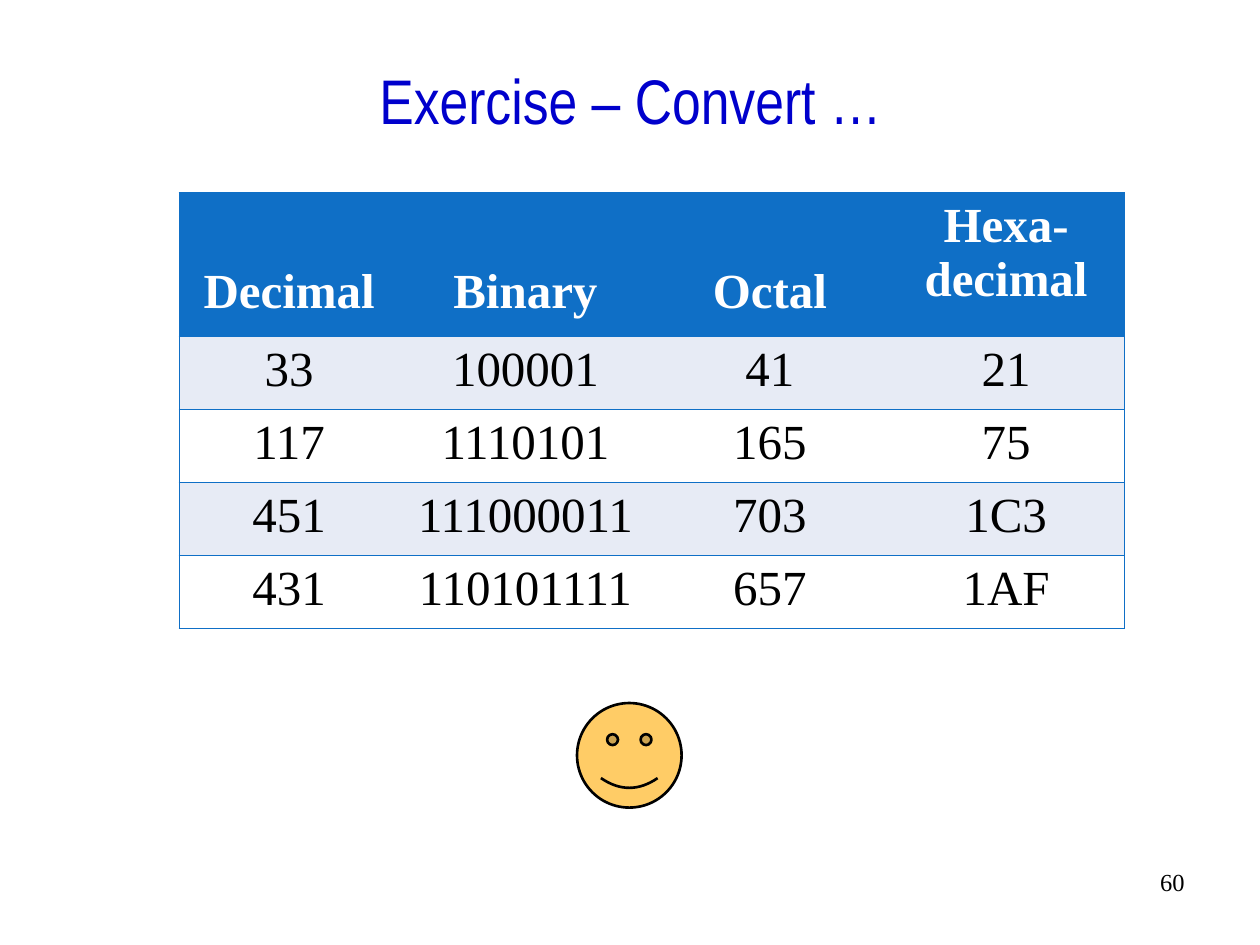
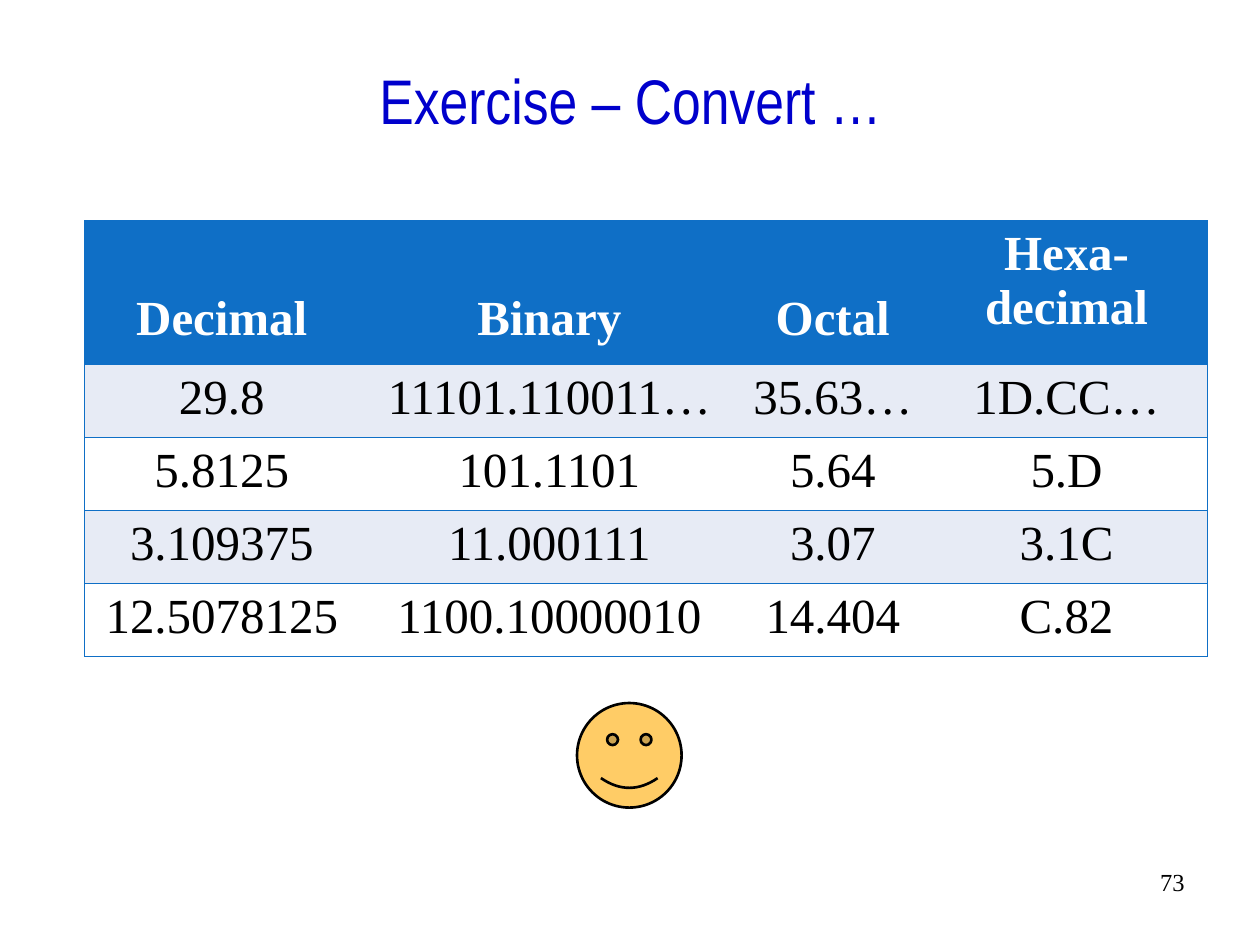
from dataclasses import dataclass

import lxml.etree
import pptx
import pptx.dml.color
import pptx.enum.shapes
import pptx.enum.text
import pptx.oxml.ns
import pptx.presentation
import pptx.shapes.autoshape
import pptx.slide
import pptx.table
import pptx.text.text
import pptx.util

RGBColor = pptx.dml.color.RGBColor
Inches = pptx.util.Inches
Pt = pptx.util.Pt
Align = pptx.enum.text.PP_ALIGN
Anchor = pptx.enum.text.MSO_ANCHOR
qn = pptx.oxml.ns.qn

# Shared look
TITLE_BLUE = RGBColor(0x00, 0x00, 0xCC)
TABLE_BLUE = RGBColor(0x0F, 0x6F, 0xC6)
BAND = RGBColor(0xE7, 0xEB, 0xF5)
WHITE = RGBColor(0xFF, 0xFF, 0xFF)
BLACK = RGBColor(0x00, 0x00, 0x00)
SMILEY_YELLOW = RGBColor(0xFF, 0xCC, 0x66)
TITLE_FONT = "Arial Narrow"
BODY_FONT = "Times New Roman"
PLAIN_TABLE_STYLE = "{2D5ABB26-0587-4C30-8999-92F81FD0307C}"

TITLE = "Exercise – Convert …"
BASES = ("Decimal", "Binary", "Octal", "Hexa-\vdecimal")
HEADER_HEIGHT = 1.14
NUMBER_HEIGHT = 0.58


@dataclass(frozen=True)
class Exercise:
    page: int
    left: float
    top: float
    widths: tuple[float, ...]
    numbers: tuple[tuple[str, ...], ...]


EXERCISES = (
    Exercise(60, 1.42, 1.53, (1.75, 2, 1.88, 1.87), (
        ("33", "100001", "41", "21"),
        ("117", "1110101", "165", "75"),
        ("451", "111000011", "703", "1C3"),
        ("431", "110101111", "657", "1AF"),
    )),
    Exercise(73, 0.67, 1.75, (2.18, 3.02, 1.48, 2.23), (
        ("29.8", "11101.110011…", "35.63…", "1D.CC…"),
        ("5.8125", "101.1101", "5.64", "5.D"),
        ("3.109375", "11.000111", "3.07", "3.1C"),
        ("12.5078125", "1100.10000010", "14.404", "C.82"),
    )),
)


def write(frame: pptx.text.text.TextFrame, text: str, size: float, color: RGBColor,
          font: str = BODY_FONT, align: Align = Align.CENTER, bold: bool = False) -> None:
    frame.word_wrap = True
    paragraph = frame.paragraphs[0]
    paragraph.text = text
    paragraph.alignment = align
    paragraph.font.name = font
    paragraph.font.size = Pt(size)
    paragraph.font.bold = bold
    paragraph.font.color.rgb = color


def add_title(slide: pptx.slide.Slide) -> None:
    title = slide.shapes.add_textbox(Inches(0.17), Inches(0.33), Inches(9.67), Inches(0.92))
    title.text_frame.vertical_anchor = Anchor.MIDDLE
    write(title.text_frame, TITLE, 36, TITLE_BLUE, font=TITLE_FONT)


def add_border(cell: pptx.table._Cell, side: str) -> None:
    border = lxml.etree.SubElement(cell._tc.get_or_add_tcPr(), qn(f"a:ln{side}"),
                                   w=str(Pt(0.45)))
    fill = lxml.etree.SubElement(border, qn("a:solidFill"))
    lxml.etree.SubElement(fill, qn("a:srgbClr"), val=str(TABLE_BLUE))


def add_conversions(slide: pptx.slide.Slide, exercise: Exercise) -> None:
    rows = (BASES, *exercise.numbers)
    heights = [HEADER_HEIGHT] + [NUMBER_HEIGHT] * len(exercise.numbers)
    conversions = slide.shapes.add_table(
        len(rows), len(BASES), Inches(exercise.left), Inches(exercise.top),
        Inches(sum(exercise.widths)), Inches(sum(heights))).table
    conversions.horz_banding = False
    conversions._tbl.tblPr.find(qn("a:tableStyleId")).text = PLAIN_TABLE_STYLE
    for column, width in zip(conversions.columns, exercise.widths):
        column.width = Inches(width)
    for row, height in zip(conversions.rows, heights):
        row.height = Inches(height)

    last = len(BASES) - 1
    for r, values in enumerate(rows):
        header = r == 0
        for c, value in enumerate(values):
            cell = conversions.cell(r, c)
            # Outer edges and row rules; borders precede the fill
            sides = ("L" if c == 0 else "") + ("R" if c == last else "") + "TB"
            for side in sides:
                add_border(cell, side)
            cell.fill.solid()
            cell.fill.fore_color.rgb = TABLE_BLUE if header else BAND if r % 2 else WHITE
            write(cell.text_frame, value, 28, WHITE if header else BLACK, bold=header)
            # One-line headings sit low beside the two-line heading
            if header and c != last:
                cell.vertical_anchor = Anchor.BOTTOM
                cell.margin_bottom = Inches(0.14)


def add_smiley(slide: pptx.slide.Slide) -> None:
    smiley = slide.shapes.add_shape(pptx.enum.shapes.MSO_SHAPE.SMILEY_FACE,
                                    Inches(4.58), Inches(5.58), Inches(0.83), Inches(0.83))
    smiley.shadow.inherit = False
    smiley.fill.solid()
    smiley.fill.fore_color.rgb = SMILEY_YELLOW
    smiley.line.color.rgb = BLACK
    smiley.line.width = Pt(1.5)


def add_page_number(slide: pptx.slide.Slide, page: int) -> None:
    footer = slide.shapes.add_textbox(Inches(7.42), Inches(6.83), Inches(2.08), Inches(0.5))
    write(footer.text_frame, str(page), 14, BLACK, align=Align.RIGHT)


def add_exercise(deck: pptx.presentation.Presentation, exercise: Exercise) -> None:
    slide = deck.slides.add_slide(deck.slide_layouts[6])
    add_title(slide)
    add_conversions(slide, exercise)
    add_smiley(slide)
    add_page_number(slide, exercise.page)


def main() -> None:
    deck = pptx.Presentation()
    deck.slide_width, deck.slide_height = Inches(10), Inches(7.5)
    for exercise in EXERCISES:
        add_exercise(deck, exercise)
    deck.save("out.pptx")


if __name__ == "__main__":
    main()
